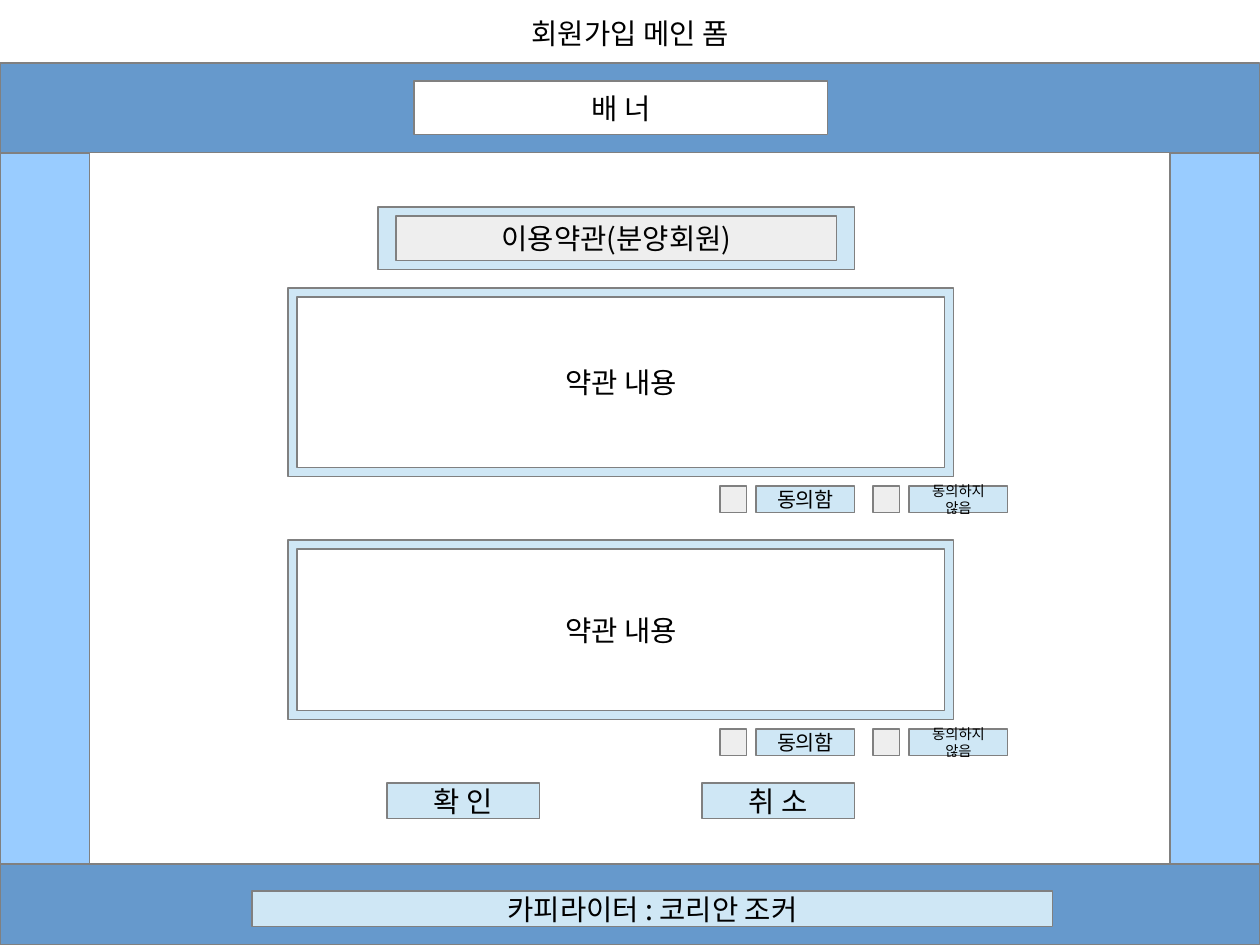
from dataclasses import dataclass

from lxml import etree
from pptx import Presentation
from pptx import util as u
from pptx.dml.color import RGBColor
from pptx.enum import shapes, text
from pptx.oxml import ns


@dataclass(frozen=True)
class Theme:
    font: str = "Noto Sans CJK KR"
    ink: str = "000000"
    line: str = "808080"
    white: str = "FFFFFF"
    gray: str = "EEEEEE"
    pale: str = "CFE7F5"
    sky: str = "99CCFF"
    blue: str = "6699CC"
    big: int = 18
    mid: int = 13
    small: int = 9


THEME = Theme()
CM_PER_INCH = 2.54
WIDTH, HEIGHT = 28, 21


def metric(length):
    return u.Inches(length / CM_PER_INCH)


def rgb(code):
    return RGBColor.from_string(code)


def write(shape, words, size):
    frame = shape.text_frame
    frame.word_wrap = True
    para = frame.paragraphs[0]
    para.text = words
    para.alignment = text.PP_ALIGN.CENTER
    font = para.font
    font.size = u.Pt(size)
    font.color.rgb = rgb(THEME.ink)
    font.name = THEME.font
    props = para._p.find(".//" + ns.qn("a:defRPr"))
    etree.SubElement(props, ns.qn("a:ea"), typeface=THEME.font)


def add_title(slide, words, *place):
    box = slide.shapes.add_textbox(*map(metric, place))
    write(box, words, THEME.big)


def add_box(slide, fill, left, top, width, height, words="", size=THEME.big):
    box = slide.shapes.add_shape(
        shapes.MSO_SHAPE.RECTANGLE,
        *map(metric, (left, top, width, height)))
    box.shadow.inherit = False
    box.fill.solid()
    box.fill.fore_color.rgb = rgb(fill)
    box.line.color.rgb = rgb(THEME.line)
    box.line.width = u.Pt(0)
    if words:
        box.text_frame.vertical_anchor = text.MSO_ANCHOR.MIDDLE
        write(box, words, size)


def add_page(slide):
    side = 2
    add_box(slide, THEME.blue, 0, 1.4, WIDTH, 2)
    for left in (0, WIDTH - side):
        add_box(slide, THEME.sky, left, 3.4, side, 15.8)
    add_box(slide, THEME.blue, 0, 19.2, WIDTH, 1.8)
    add_title(slide, "회원가입 메인 폼", 10.2, 0.23, 7.6, 1.17)
    add_box(slide, THEME.white, 9.2, 1.8, 9.2, 1.2, "배 너")
    add_box(slide, THEME.pale, 5.6, 19.8, 17.8, 0.8,
            "카피라이터 : 코리안 조커")


def add_terms(slide, top, height):
    left, width, edge = 6.4, 14.8, 0.2
    add_box(slide, THEME.pale, left, top, width, height)
    add_box(slide, THEME.white, left + edge, top + edge,
            width - 2 * edge, height - 2 * edge, "약관 내용")
    row = top + height + edge
    for check, words, size in ((16, "동의함", THEME.mid),
                               (19.4, "동의하지 않음", THEME.small)):
        add_box(slide, THEME.gray, check, row, 0.6, 0.6)
        add_box(slide, THEME.pale, check + 0.8, row, 2.2, 0.6, words, size)


def main():
    deck = Presentation()
    deck.slide_width = metric(WIDTH)
    deck.slide_height = metric(HEIGHT)
    slide = deck.slides.add_slide(deck.slide_layouts[6])
    add_page(slide)
    add_box(slide, THEME.pale, 8.4, 4.6, 10.6, 1.4)
    add_box(slide, THEME.gray, 8.8, 4.8, 9.8, 1, "이용약관(분양회원)")
    for top, height in ((6.4, 4.2), (12, 4)):
        add_terms(slide, top, height)
    for left, words in ((8.6, "확 인"), (15.6, "취 소")):
        add_box(slide, THEME.pale, left, 17.4, 3.4, 0.8, words)
    deck.save("out.pptx")


if __name__ == "__main__":
    main()
